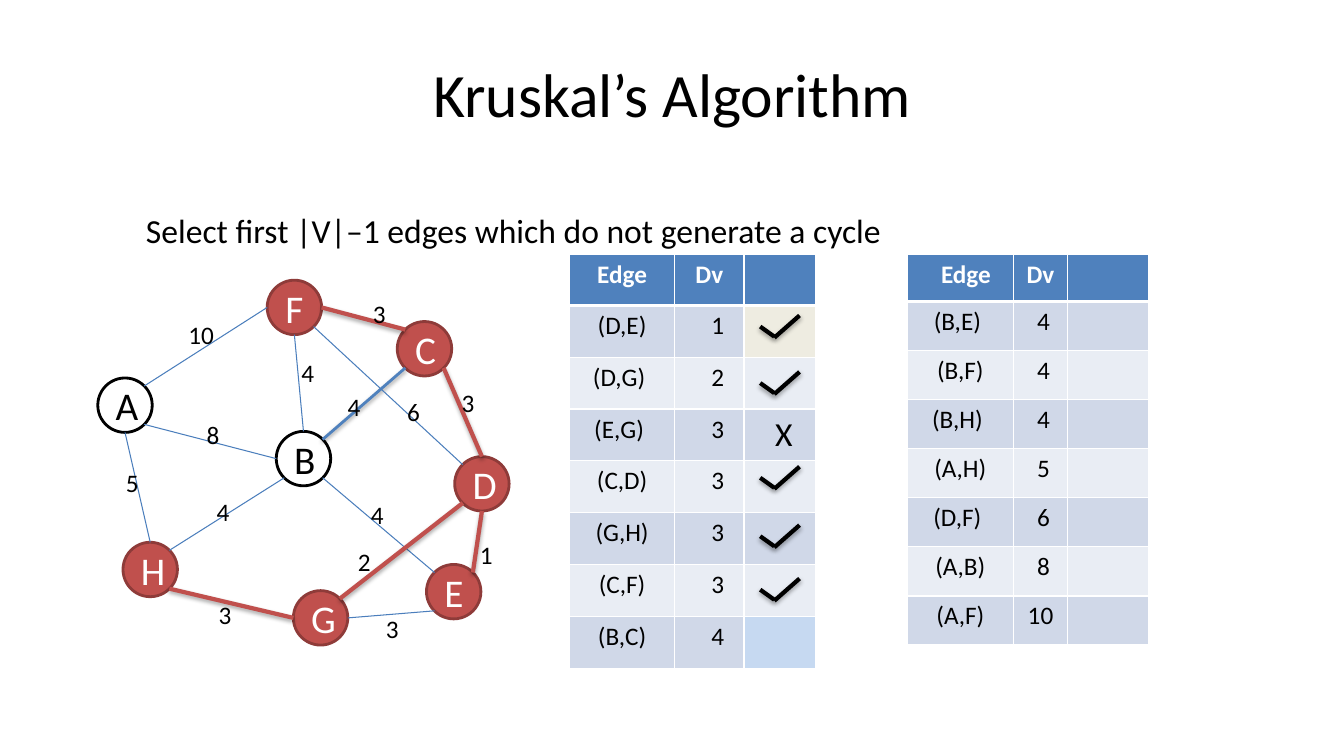
from dataclasses import dataclass
from enum import Enum
from math import sqrt

import pptx
import pptx.dml.color
import pptx.enum.shapes
import pptx.enum.text
import pptx.oxml
import pptx.oxml.ns
import pptx.util

RGBColor = pptx.dml.color.RGBColor
Align = pptx.enum.text.PP_ALIGN
Anchor = pptx.enum.text.MSO_ANCHOR

BLACK = RGBColor(0x00, 0x00, 0x00)
WHITE = RGBColor(0xFF, 0xFF, 0xFF)
RED = RGBColor(0xC0, 0x50, 0x4D)
DARK_RED = RGBColor(0x8E, 0x3B, 0x39)
BLUE = RGBColor(0x4F, 0x81, 0xBD)
EDGE_BLUE = RGBColor(0x4B, 0x7E, 0xBC)
BANDS = (RGBColor(0xD0, 0xD8, 0xE8), RGBColor(0xE9, 0xED, 0xF4))
CREAM = RGBColor(0xEE, 0xEC, 0xE1)
PALE_BLUE = RGBColor(0xC6, 0xD9, 0xF1)

FONT = "Calibri"
EMU_PER_PX = 9144  # 100 px to the inch
NODE_SIZE = 54
CELL_MARGIN = 10
DIAGONAL = 1 / sqrt(2)


class Side(Enum):
    """Direction from a node's centre to a point on its rim."""
    N = (0, -1)
    E = (1, 0)
    S = (0, 1)
    W = (-1, 0)
    NE = (DIAGONAL, -DIAGONAL)
    SE = (DIAGONAL, DIAGONAL)
    SW = (-DIAGONAL, DIAGONAL)
    NW = (-DIAGONAL, -DIAGONAL)


@dataclass(frozen=True)
class Node:
    left: int
    top: int
    reached: bool = True

    def rim(self, side: Side) -> tuple[int, int]:
        radius = NODE_SIZE / 2
        return (round(self.left + radius * (1 + side.value[0])),
                round(self.top + radius * (1 + side.value[1])))


@dataclass(frozen=True)
class Stroke:
    color: RGBColor
    width: float
    shadow_alpha: int = 0


THIN = Stroke(EDGE_BLUE, 0.75)
CANDIDATE = Stroke(BLUE, 2, 38)
CHOSEN = Stroke(RED, 3, 35)
TICK = Stroke(BLACK, 3, 35)


@dataclass(frozen=True)
class Edge:
    start: str
    start_side: Side
    end: str
    end_side: Side
    stroke: Stroke = THIN


@dataclass(frozen=True)
class Label:
    text: str
    left: int
    top: int
    width: int = 28


@dataclass(frozen=True)
class Row:
    """Shifts are extra margin: positive on the left, negative on the right."""
    edge: str
    weight: str
    edge_shift: int = 0
    weight_shift: int = 0
    mark: str = ""
    mark_fill: RGBColor | None = None


@dataclass(frozen=True)
class EdgeTable:
    left: int
    top: int
    height: int
    header_height: int
    columns: tuple[int, ...]
    header_shift: int
    rows: tuple[Row, ...]


NODES = {
    "F": Node(265, 278), "A": Node(97, 375, False), "H": Node(122, 538),
    "G": Node(291, 586), "E": Node(423, 560), "D": Node(451, 453),
    "C": Node(394, 319), "B": Node(274, 428, False),
}
EDGES = (
    Edge("F", Side.W, "A", Side.NE), Edge("A", Side.S, "H", Side.N),
    Edge("H", Side.SE, "G", Side.W, CHOSEN), Edge("G", Side.E, "E", Side.SW),
    Edge("E", Side.NE, "D", Side.S, CHOSEN), Edge("D", Side.N, "C", Side.SE, CHOSEN),
    Edge("C", Side.NW, "F", Side.E, CHOSEN), Edge("B", Side.NE, "C", Side.SW, CANDIDATE),
    Edge("B", Side.N, "F", Side.S), Edge("B", Side.W, "A", Side.SE),
    Edge("B", Side.SW, "H", Side.NE), Edge("B", Side.SE, "E", Side.NW),
    Edge("D", Side.NW, "F", Side.SE), Edge("D", Side.SW, "G", Side.NE, CHOSEN),
)
LABELS = (
    Label("1", 466, 530), Label("5", 115, 459), Label("10", 177, 312, 53),
    Label("3", 448, 379), Label("3", 373, 604), Label("3", 207, 590),
    Label("4", 205, 487), Label("8", 195, 411), Label("4", 289, 350),
    Label("4", 335, 383), Label("4", 358, 490), Label("6", 394, 388),
    Label("2", 345, 537), Label("3", 360, 291),
)
TABLES = (
    EdgeTable(565, 252, 411, 51, (104, 69, 71), 0, (
        Row("(D,E)", "1", 0, 17, mark_fill=CREAM), Row("(D,G)", "2", -6, 17),
        Row("(E,G)", "3", -6, 17, mark="X"), Row("(C,D)", "3", 0, 17),
        Row("(G,H)", "3", 0, 17), Row("(C,F)", "3", 0, 17),
        Row("(B,C)", "4", 0, 17, mark_fill=PALE_BLUE))),
    EdgeTable(900, 252, 388, 47, (105, 54, 80), 11, (
        Row("(B,E)", "4", -6, 6), Row("(B,F)", "4", 0, 6), Row("(B,H)", "4", -6, 6),
        Row("(A,H)", "5", 0, 6), Row("(D,F)", "6", -6, 6), Row("(A,B)", "8", 0, 6),
        Row("(A,F)", "10"))),
)
TICK_LEFT = 754
TICK_TOPS = (324, 380, 474, 532, 585)


def px(length: float) -> int:
    return round(length * EMU_PER_PX)


def write(frame, text: str, *, size: int = 18, color: RGBColor = BLACK, bold: bool = False,
          align=Align.LEFT, anchor=Anchor.TOP) -> None:
    frame.word_wrap = True
    frame.vertical_anchor = anchor
    paragraph = frame.paragraphs[0]
    paragraph.alignment = align
    run = paragraph.add_run()
    run.text = text
    run.font.name, run.font.size, run.font.bold = FONT, pptx.util.Pt(size), bold
    run.font.color.rgb = color


def add_text(shapes, text: str, left: int, top: int, width: int, height: int, **style) -> None:
    box = shapes.add_textbox(px(left), px(top), px(width), px(height))
    write(box.text_frame, text, **style)


def add_line(shapes, start: tuple[int, int], end: tuple[int, int], stroke: Stroke) -> None:
    line = shapes.add_connector(pptx.enum.shapes.MSO_CONNECTOR.STRAIGHT,
                                *map(px, start + end))
    line.line.color.rgb = stroke.color
    line.line.width = pptx.util.Pt(stroke.width)
    shadow = (f'<a:outerShdw blurRad="40000" dist="23000" dir="5400000" rotWithShape="0">'
              f'<a:srgbClr val="000000"><a:alpha val="{stroke.shadow_alpha * 1000}"/></a:srgbClr>'
              f'</a:outerShdw>') if stroke.shadow_alpha else ""
    line._element.spPr.append(pptx.oxml.parse_xml(
        f'<a:effectLst {pptx.oxml.ns.nsdecls("a")}>{shadow}</a:effectLst>'))


def add_node(shapes, name: str, node: Node) -> None:
    circle = shapes.add_shape(pptx.enum.shapes.MSO_SHAPE.OVAL, px(node.left), px(node.top),
                              px(NODE_SIZE), px(NODE_SIZE))
    circle.shadow.inherit = False
    circle.fill.solid()
    circle.fill.fore_color.rgb = RED if node.reached else WHITE
    circle.line.color.rgb = DARK_RED if node.reached else BLACK
    circle.line.width = pptx.util.Pt(2)
    write(circle.text_frame, name, size=28, color=WHITE if node.reached else BLACK,
          align=Align.CENTER, anchor=Anchor.MIDDLE)


def fill_cell(cell, text: str, fill: RGBColor, shift: int, borders: dict[str, int], **style) -> None:
    properties = cell._tc.get_or_add_tcPr()
    for side, width in borders.items():
        properties.append(pptx.oxml.parse_xml(
            f'<a:ln{side} {pptx.oxml.ns.nsdecls("a")} w="{pptx.util.Pt(width)}">'
            f'<a:solidFill><a:srgbClr val="{WHITE}"/></a:solidFill></a:ln{side}>'))
    cell.fill.solid()
    cell.fill.fore_color.rgb = fill
    cell.margin_left = px(CELL_MARGIN + max(shift, 0))
    cell.margin_right = px(CELL_MARGIN + max(-shift, 0))
    if text:
        write(cell.text_frame, text, align=Align.CENTER, **style)


def add_edge_table(shapes, spec_table: EdgeTable) -> None:
    rows = spec_table.rows
    table = shapes.add_table(len(rows) + 1, 3, px(spec_table.left), px(spec_table.top),
                             px(sum(spec_table.columns)), px(spec_table.height)).table
    for column, width in zip(table.columns, spec_table.columns):
        column.width = px(width)
    for row in table.rows:
        row.height = px(spec_table.height - spec_table.header_height) // len(rows)
    table.rows[0].height = px(spec_table.header_height)
    headers = (("Edge", spec_table.header_shift), ("Dv", 0), ("", 0))
    for column, (text, shift) in enumerate(headers):
        fill_cell(table.cell(0, column), text, BLUE, shift, dict(L=1, R=1, T=1, B=3),
                  color=WHITE, bold=True)
    for index, row in enumerate(rows, start=1):
        band = BANDS[(index - 1) % 2]
        borders = dict(L=1, R=1, T=3 if index == 1 else 1, B=1)
        fill_cell(table.cell(index, 0), row.edge, band, row.edge_shift, borders)
        fill_cell(table.cell(index, 1), row.weight, band, row.weight_shift, borders)
        fill_cell(table.cell(index, 2), row.mark, row.mark_fill or band,
                  8 if row.mark else 0, borders, size=24)


def main() -> None:
    presentation = pptx.Presentation()
    presentation.slide_width, presentation.slide_height = px(1333), px(750)
    slide = presentation.slides.add_slide(presentation.slide_layouts[5])
    title = slide.shapes.title
    title.left, title.top, title.width, title.height = map(px, (67, 30, 1200, 125))
    write(title.text_frame, "Kruskal’s Algorithm", size=44, align=Align.CENTER,
          anchor=Anchor.MIDDLE)
    add_text(slide.shapes, "Select first |V|–1 edges which do not generate a cycle",
             135, 203, 1150, 50, size=24)
    graph = slide.shapes.add_group_shape().shapes
    for name, node in NODES.items():
        add_node(graph, name, node)
    for edge in EDGES:
        add_line(graph, NODES[edge.start].rim(edge.start_side),
                 NODES[edge.end].rim(edge.end_side), edge.stroke)
    for label in LABELS:
        add_text(graph, label.text, label.left, label.top, label.width, 40)
    for edge_table in TABLES:
        add_edge_table(slide.shapes, edge_table)
    for top in TICK_TOPS:
        tick = slide.shapes.add_group_shape().shapes
        add_line(tick, (TICK_LEFT, top), (TICK_LEFT + 14, top + 10), TICK)
        add_line(tick, (TICK_LEFT + 14, top + 11), (TICK_LEFT + 39, top - 11), TICK)
    presentation.save("out.pptx")


if __name__ == "__main__":
    main()
